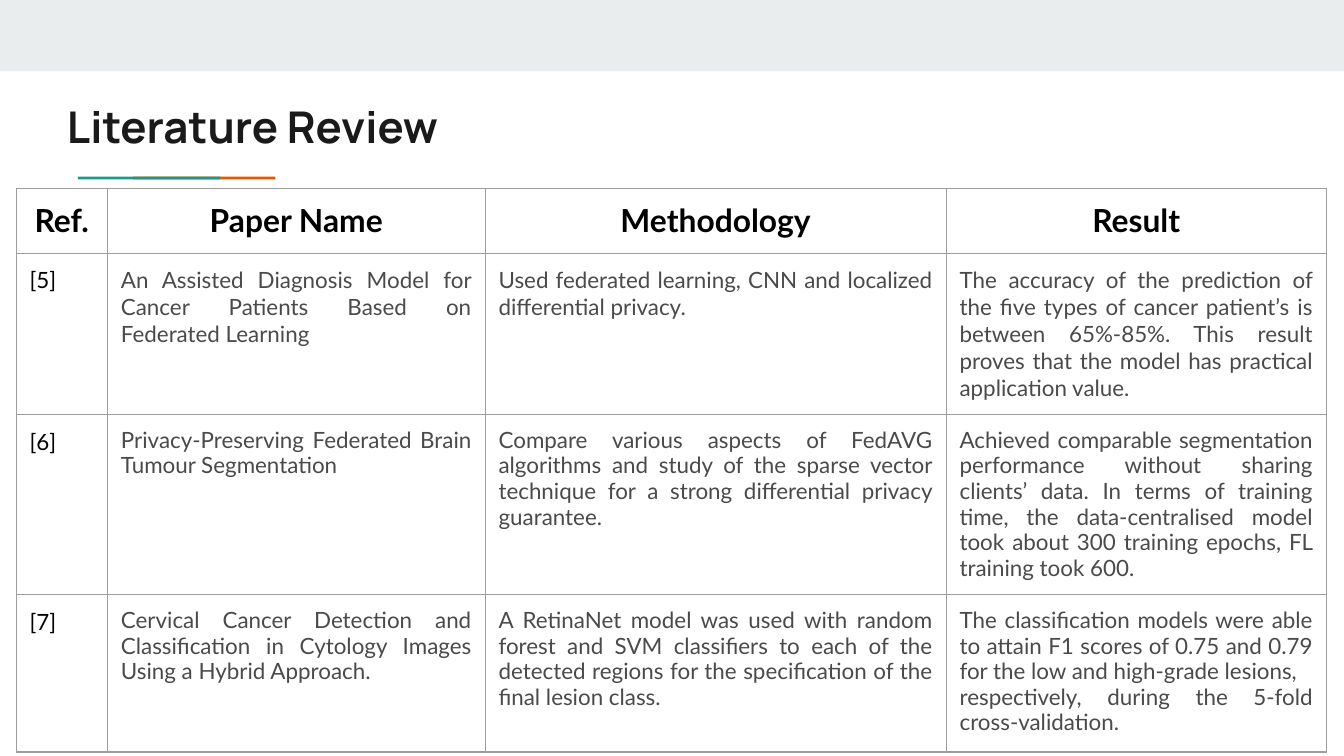
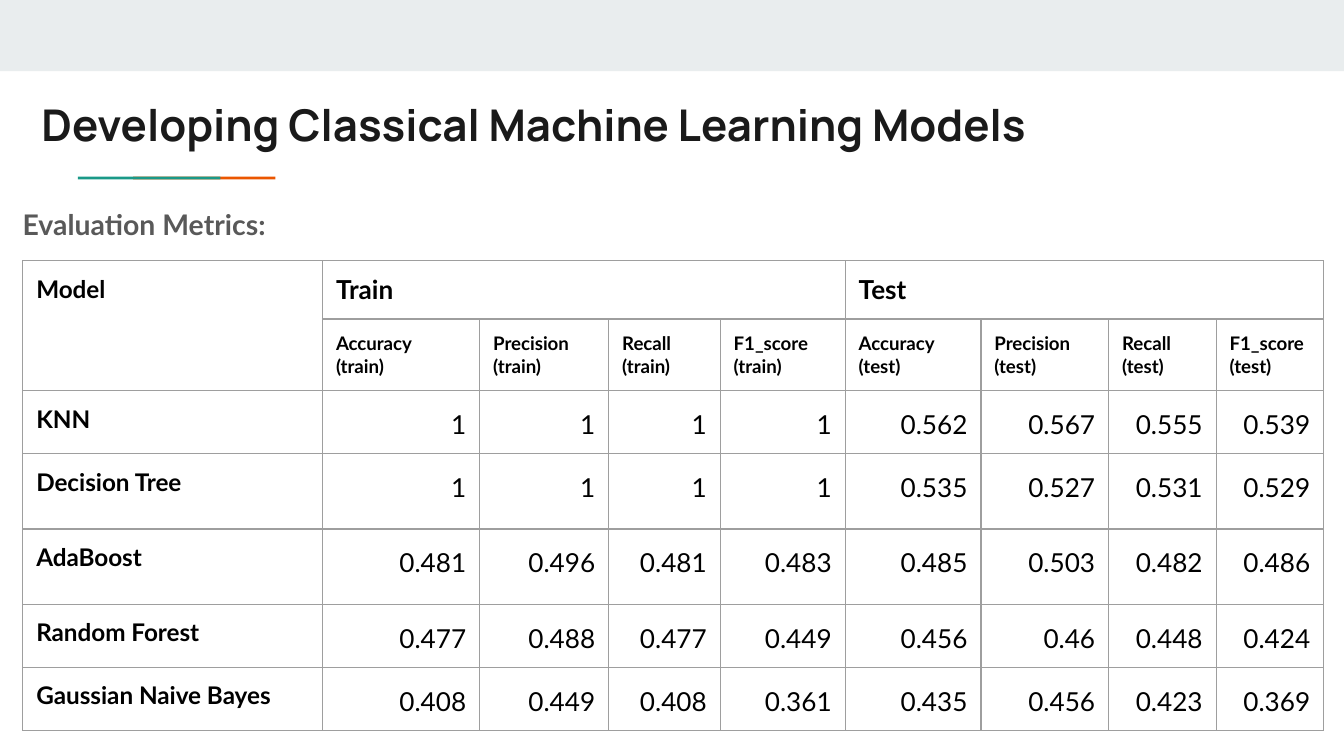
"""Build two slides: a literature review and the scores of classical models."""
from dataclasses import dataclass, replace

from lxml import etree
from pptx import Presentation
from pptx.dml.color import RGBColor
from pptx.enum.shapes import MSO_SHAPE
from pptx.enum.text import MSO_ANCHOR, PP_ALIGN
from pptx.oxml.ns import qn
from pptx.util import Emu, Inches, Pt

RECTANGLE = MSO_SHAPE.RECTANGLE
TOP = MSO_ANCHOR.TOP
LEFT, CENTER, RIGHT, JUSTIFY = PP_ALIGN.LEFT, PP_ALIGN.CENTER, PP_ALIGN.RIGHT, PP_ALIGN.JUSTIFY

BAND = RGBColor(0xE9, 0xED, 0xEE)
ORANGE = RGBColor(0xEB, 0x56, 0x00)
TEAL = RGBColor(0x1A, 0x99, 0x88)
INK = RGBColor(0x1A, 0x1A, 0x1A)
BLACK = RGBColor(0x00, 0x00, 0x00)
BODY_GRAY = RGBColor(0x4A, 0x4A, 0x4A)
LABEL_GRAY = RGBColor(0x59, 0x59, 0x59)
BORDER = RGBColor(0x9E, 0x9E, 0x9E)

WIDTH, HEIGHT = Inches(10), Inches(5.625)
COLUMNS, ROWS = 100, 56.25
INSET = Inches(0.1)


@dataclass(frozen=True)
class Area:
    """Place on the slide grid, in columns and rows."""
    left: float
    top: float
    width: float
    height: float


@dataclass(frozen=True)
class TextStyle:
    """Look of a paragraph."""
    size: float
    color: RGBColor = BLACK
    bold: bool = False
    align: PP_ALIGN = LEFT
    spacing: float = 1.0
    face: str = "Lato"


@dataclass(frozen=True)
class Entry:
    """Text of one table cell with its look."""
    text: str
    style: TextStyle


@dataclass(frozen=True)
class Bar:
    """Filled rectangle."""
    area: Area
    color: RGBColor


FRAME = [
    Bar(Area(0, 0, COLUMNS, 5.3), BAND),
    Bar(Area(9.9, 13.15, 10.6, 0.2), ORANGE),
    Bar(Area(5.8, 13.15, 10.6, 0.2), TEAL),
]

TITLE = TextStyle(23.4, INK, bold=True, face="Manrope")
SUBTITLE = TextStyle(15.2, LABEL_GRAY, bold=True, spacing=0.95)
REVIEW_HEAD = TextStyle(17, bold=True, align=CENTER)
REFERENCE = TextStyle(12)
REVIEW_BODY = TextStyle(12, BODY_GRAY, align=JUSTIFY)
MODEL = TextStyle(13, bold=True)
GROUP = TextStyle(14, bold=True)
METRIC = TextStyle(10, bold=True)
SCORE = TextStyle(14, align=RIGHT, spacing=1.15)

REVIEW_COLUMNS = [6.8, 28.1, 34.3, 28.3]
REVIEW_ROWS = [4.3, 10.8, 10.2, 11.7]
REVIEW_HEADINGS = ["Ref.", "Paper Name", "Methodology", "Result"]
PAPERS = [
    ("[5]", 1.0,
     "An Assisted Diagnosis Model for Cancer Patients Based on Federated Learning",
     "Used federated learning, CNN and localized differential privacy.",
     "The accuracy of the prediction of the five types of cancer patient’s is between 65%-85%. "
     "This result proves that the model has practical application value."),
    ("[6]", 0.95,
     "Privacy-Preserving Federated Brain Tumour Segmentation",
     "Compare various aspects of FedAVG algorithms and study of the sparse vector technique "
     "for a strong differential privacy guarantee.",
     "Achieved comparable segmentation performance without sharing clients’ data. In terms of "
     "training time, the data-centralised model took about 300 training epochs, "
     "FL training took 600."),
    ("[7]", 0.95,
     "Cervical Cancer Detection and Classification in Cytology Images Using a Hybrid Approach.",
     "A RetinaNet model was used with random forest and SVM classifiers to each of the detected "
     "regions for the specification of the final lesion class.",
     "The classification models were able to attain F1 scores of 0.75 and 0.79 for the low and "
     "high-grade lesions,\nrespectively, during the 5-fold cross-validation."),
]

SCORE_COLUMNS = [22.3, 11.7, 9.6, 8.3, 9.3, 10.1, 9.5, 8, 8]
SCORE_ROWS = [3.6, 4.8, 3.8, 5.6, 5.6, 3.9, 3.8]
METRICS = ["Accuracy", "Precision", "Recall", "F1_score"]
SCORES = {
    "KNN": [1, 1, 1, 1, 0.562, 0.567, 0.555, 0.539],
    "Decision Tree": [1, 1, 1, 1, 0.535, 0.527, 0.531, 0.529],
    "AdaBoost": [0.481, 0.496, 0.481, 0.483, 0.485, 0.503, 0.482, 0.486],
    "Random Forest": [0.477, 0.488, 0.477, 0.449, 0.456, 0.46, 0.448, 0.424],
    "Gaussian Naive Bayes": [0.408, 0.449, 0.408, 0.361, 0.435, 0.456, 0.423, 0.369],
}


def across(columns: float) -> Emu:
    """Turn grid columns into a length."""
    return Emu(round(WIDTH * columns / COLUMNS))


def down(rows: float) -> Emu:
    """Turn grid rows into a length."""
    return Emu(round(HEIGHT * rows / ROWS))


def place(area: Area) -> tuple[Emu, Emu, Emu, Emu]:
    """Turn a grid area into left, top, width and height."""
    return across(area.left), down(area.top), across(area.width), down(area.height)


def write(frame, text: str, style: TextStyle) -> None:
    """Fill a text frame, one paragraph a line."""
    frame.text = text
    for para in frame.paragraphs:
        para.alignment = style.align
        para.line_spacing = style.spacing
        para.font.name = style.face
        para.font.size = Pt(style.size)
        para.font.bold = style.bold
        para.font.color.rgb = style.color


def add_bar(page, bar: Bar) -> None:
    """Draw a plain filled rectangle."""
    shape = page.shapes.add_shape(RECTANGLE, *place(bar.area))
    shape.shadow.inherit = False
    shape.fill.solid()
    shape.fill.fore_color.rgb = bar.color
    shape.line.fill.background()


def add_text(page, area: Area, text: str, style: TextStyle) -> None:
    """Draw a wrapped text box."""
    frame = page.shapes.add_textbox(*place(area)).text_frame
    frame.word_wrap = True
    frame.vertical_anchor = TOP
    frame.margin_left = frame.margin_right = frame.margin_top = frame.margin_bottom = INSET
    write(frame, text, style)


def outline(cell) -> None:
    """Give a cell a thin border on all sides."""
    properties = cell._tc.get_or_add_tcPr()
    for position, side in enumerate(("a:lnL", "a:lnR", "a:lnT", "a:lnB")):
        line = etree.Element(qn(side), w=str(Pt(0.75)))
        fill = etree.SubElement(line, qn("a:solidFill"))
        etree.SubElement(fill, qn("a:srgbClr"), val=str(BORDER))
        properties.insert(position, line)


def add_grid(page, left: float, top: float, widths: list[float], heights: list[float],
             entries: list[list[Entry]]):
    """Draw a bordered table without fills and return it."""
    area = Area(left, top, sum(widths), sum(heights))
    table = page.shapes.add_table(len(heights), len(widths), *place(area)).table
    table.first_row = table.horz_banding = False
    for column, width in zip(table.columns, widths):
        column.width = across(width)
    for row, height, line in zip(table.rows, heights, entries):
        row.height = down(height)
        for cell, entry in zip(row.cells, line):
            cell.margin_left = cell.margin_right = INSET
            cell.margin_top = cell.margin_bottom = INSET
            cell.vertical_anchor = TOP
            cell.fill.background()
            outline(cell)
            write(cell.text_frame, entry.text, entry.style)
    return table


def add_page(deck):
    """Add a blank slide with the shared band and accent line."""
    page = deck.slides.add_slide(deck.slide_layouts[6])
    for bar in FRAME:
        add_bar(page, bar)
    return page


def add_review(deck) -> None:
    """Build the literature review slide."""
    page = add_page(deck)
    add_text(page, Area(4, 6.4, 84.8, 5.9), "Literature Review", TITLE)
    entries = [[Entry(heading, REVIEW_HEAD) for heading in REVIEW_HEADINGS]]
    for reference, spacing, *texts in PAPERS:
        style = replace(REVIEW_BODY, spacing=spacing)
        entries.append([Entry(reference, REFERENCE), *(Entry(text, style) for text in texts)])
    add_grid(page, 1.2, 14, REVIEW_COLUMNS, REVIEW_ROWS, entries)


def add_scores(deck) -> None:
    """Build the model evaluation slide."""
    page = add_page(deck)
    add_text(page, Area(0.7, 14.6, 84.1, 3.8), "Evaluation Metrics:", SUBTITLE)
    add_text(page, Area(2.1, 6.3, 84.1, 5.9), "Developing Classical Machine Learning Models", TITLE)
    groups, metrics = [Entry("Model", MODEL)], [Entry("", METRIC)]
    for group in ("Train", "Test"):
        groups += [Entry(group if metric == METRICS[0] else "", GROUP) for metric in METRICS]
        metrics += [Entry(f"{metric}\n({group.lower()})", METRIC) for metric in METRICS]
    entries = [groups, metrics]
    for model, scores in SCORES.items():
        entries.append([Entry(model, MODEL), *(Entry(str(score), SCORE) for score in scores)])
    table = add_grid(page, 1.7, 19.4, SCORE_COLUMNS, SCORE_ROWS, entries)
    table.cell(0, 0).merge(table.cell(1, 0))
    for first in (1, 1 + len(METRICS)):
        table.cell(0, first).merge(table.cell(0, first + len(METRICS) - 1))


def main() -> None:
    """Build and save the deck."""
    deck = Presentation()
    deck.slide_width, deck.slide_height = WIDTH, HEIGHT
    add_review(deck)
    add_scores(deck)
    deck.save("out.pptx")


if __name__ == "__main__":
    main()
